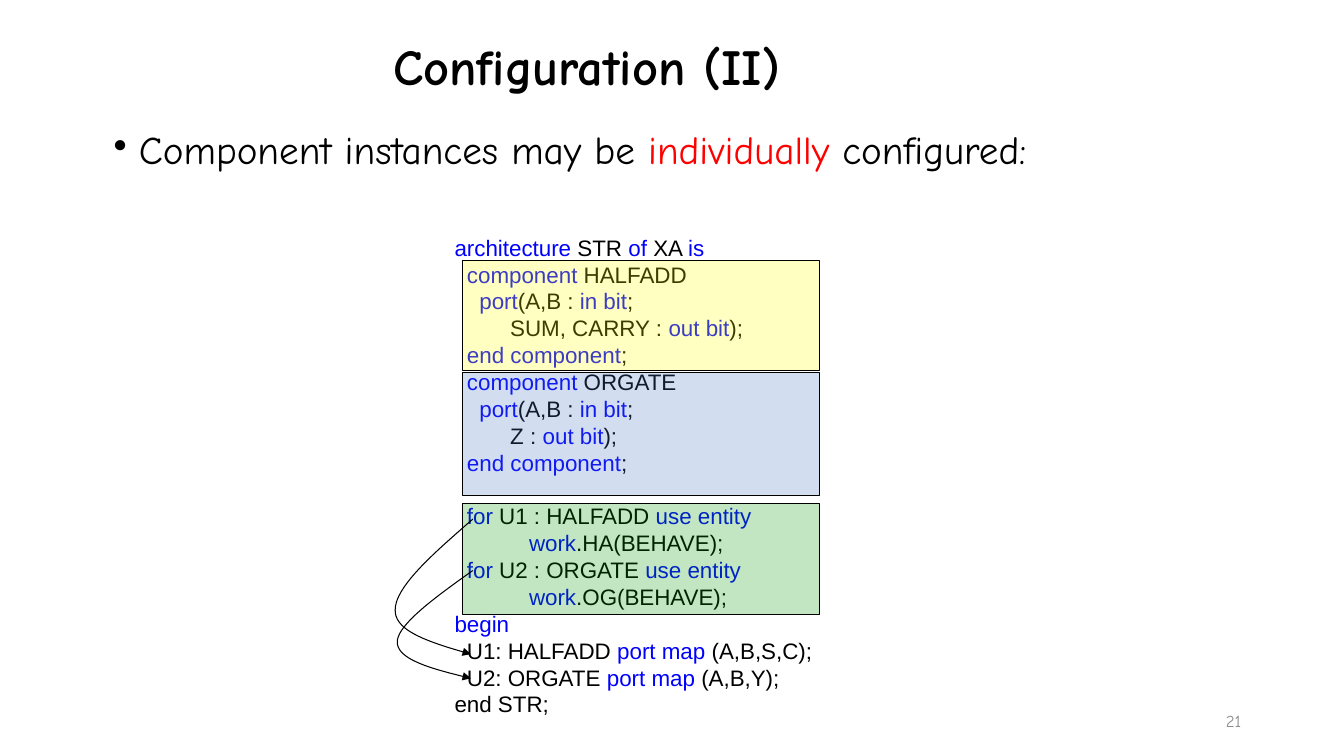
from dataclasses import dataclass

from lxml import etree
from pptx import Presentation
from pptx import util as u
from pptx.dml.color import RGBColor
from pptx.enum import shapes, text
from pptx.oxml import ns

CELL = u.Inches(0.1)  # grid pitch for both columns and rows
COLORS = {
    "ink": "000000", "keyword": "0000FF", "stress": "FF0000", "number": "8C8C8C",
    "component": "FFFF00", "gate": "4472C4", "binding": "009900",
}
CODE_LEADING = u.Pt(19.2)
CODE = """*architecture* STR *of* XA *is*
  *component* HALFADD
    *port*(A,B : *in bit*;
         SUM, CARRY : *out bit*);
  *end component*;
  *component* ORGATE
    *port*(A,B : *in bit*;
         Z : *out bit*);
  *end component*;
  *for* U1 : HALFADD *use entity*
            *work*.HA(BEHAVE);
  *for *U2 : ORGATE *use entity*
            *work*.OG(BEHAVE);
*begin*
  U1: HALFADD *port map *(A,B,S,C);
  U2: ORGATE *port map *(A,B,Y);
end STR;""".split("\n")
FIRST_BINDING = 9  # code line that follows a one-line gap

Point = tuple[float, float]


@dataclass
class Area:
    col: float
    row: float
    cols: float
    rows: float

    def emu(self) -> list[int]:
        return [round(n * CELL) for n in (self.col, self.row, self.cols, self.rows)]


@dataclass
class Style:
    font: str
    size: int
    color: str = "ink"
    accent: str = "ink"
    bold: bool = False


@dataclass
class Panel:
    row: float
    rows: float
    color: str


@dataclass
class Arrow:
    """Two cubic curves: a start point, then three points for each curve."""
    points: list[Point]


PANELS = [Panel(37, 12.2, "gate"), Panel(25.8, 11, "component"), Panel(50, 11, "binding")]
ARROWS = [
    Arrow([(46.9, 51.5), (43, 54.9), (39.2, 58.2), (39.2, 60.5),
           (39.1, 62.7), (42.9, 63.8), (46.7, 64.9)]),
    Arrow([(46.9, 56.6), (43.1, 59.3), (39.4, 62), (39.4, 63.7),
           (39.4, 65.5), (43, 66.4), (46.7, 67.3)]),
]


def rgb(name: str) -> RGBColor:
    return RGBColor.from_string(COLORS[name])


def add_text(page, area: Area, lines: list[str], style: Style,
             anchor=text.MSO_ANCHOR.TOP) -> list:
    """Write lines whose parts between asterisks take the accent colour."""
    frame = page.shapes.add_textbox(*area.emu()).text_frame
    frame.word_wrap = True
    frame.vertical_anchor = anchor
    for index, line in enumerate(lines):
        para = frame.add_paragraph() if index else frame.paragraphs[0]
        for part, words in enumerate(line.split("*")):
            if words:
                span = para.add_run()
                span.text = words
                span.font.color.rgb = rgb(style.accent if part % 2 else style.color)
        para.font.name = style.font
        para.font.size = u.Pt(style.size)
        para.font.bold = style.bold
    return list(frame.paragraphs)


def add_bullet(para) -> None:
    props = para._p.get_or_add_pPr()
    props.set("marL", str(u.Inches(0.25)))
    props.set("indent", str(-u.Inches(0.25)))
    bullet = etree.Element(ns.qn("a:buChar"), char="•")
    defaults = props.find(ns.qn("a:defRPr"))
    if defaults is None:
        props.append(bullet)
    else:
        defaults.addprevious(bullet)


def set_outline(shape) -> None:
    shape.shadow.inherit = False
    shape.line.color.rgb = rgb("ink")
    shape.line.width = u.Pt(0.75)


def add_panel(page, panel: Panel) -> None:
    area = Area(45.9, panel.row, 35.4, panel.rows)
    box = page.shapes.add_shape(shapes.MSO_SHAPE.RECTANGLE, *area.emu())
    box.fill.solid()
    box.fill.fore_color.rgb = rgb(panel.color)
    tint = box._element.spPr.find(ns.qn("a:solidFill"))[0]
    etree.SubElement(tint, ns.qn("a:alpha"), val="24000")
    set_outline(box)


def curve_point(controls: list[Point], t: float) -> Point:
    weights = ((1 - t) ** 3, 3 * t * (1 - t) ** 2, 3 * t ** 2 * (1 - t), t ** 3)
    x, y = (sum(w * n for w, n in zip(weights, axis)) for axis in zip(*controls))
    return round(x * CELL), round(y * CELL)


def add_arrow(page, arrow: Arrow, steps: int = 20) -> None:
    track = [curve_point(arrow.points[first:first + 4], step / steps)
             for first in (0, 3) for step in range(1, steps + 1)]
    builder = page.shapes.build_freeform(*curve_point(arrow.points[:4], 0))
    builder.add_line_segments(track, close=False)
    curve = builder.convert_to_shape()
    curve.fill.background()
    set_outline(curve)
    etree.SubElement(curve.line._get_or_add_ln(), ns.qn("a:tailEnd"), type="triangle")


def main() -> None:
    deck = Presentation()
    deck.slide_width, deck.slide_height = u.Inches(13.33), u.Inches(7.5)
    page = deck.slides.add_slide(deck.slide_layouts[6])
    middle = text.MSO_ANCHOR.MIDDLE

    title, = add_text(page, Area(38, -0.4, 115, 14.5), ["Configuration (II)"],
                      Style("Comic Neue", 36, bold=True), middle)
    point, = add_text(page, Area(10.3, 12.5, 115, 47.6),
                      ["Component instances may be *individually* configured:"],
                      Style("Comic Neue", 28, accent="stress"))
    title.line_spacing = point.line_spacing = 0.9
    add_bullet(point)

    code = add_text(page, Area(44.1, 22.7, 50, 50.8), CODE,
                    Style("Arial", 16, accent="keyword"))
    for para in code:
        para.line_spacing = CODE_LEADING
    code[FIRST_BINDING].space_before = CODE_LEADING

    for panel in PANELS:
        add_panel(page, panel)
    for arrow in ARROWS:
        add_arrow(page, arrow)

    number, = add_text(page, Area(94.1, 69.5, 30, 4), ["21"],
                       Style("Comic Neue", 12, "number"), middle)
    number.alignment = text.PP_ALIGN.RIGHT
    deck.save("out.pptx")


if __name__ == "__main__":
    main()
